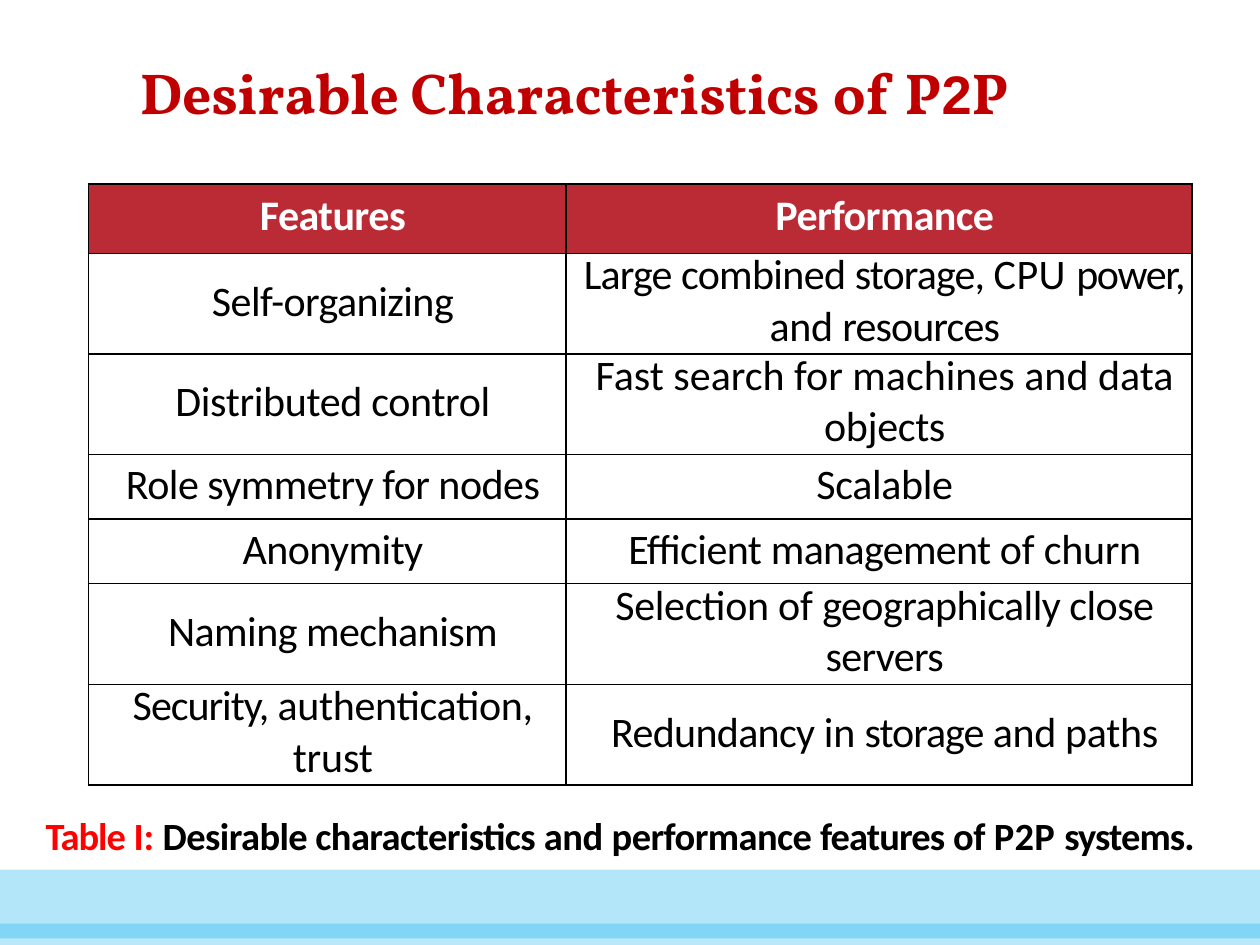
from dataclasses import dataclass

from lxml.etree import SubElement
from pptx import Presentation
from pptx.dml.color import RGBColor
from pptx.enum.shapes import MSO_SHAPE
from pptx.enum.text import MSO_ANCHOR, PP_ALIGN
from pptx.oxml.ns import qn
from pptx.util import Cm, Pt


@dataclass(frozen=True)
class Theme:
    heading_font: str = "Vollkorn"
    body_font: str = "Calibri"
    digit_font: str = "Arial"
    heading: str = "C00000"
    label: str = "FF0000"
    ink: str = "000000"
    header_text: str = "FFFFFF"
    header_fill: str = "BA2B35"
    band: str = "00AFEA"
    heading_size: float = 33
    digit_size: float = 31
    table_size: float = 24
    caption_size: float = 22


THEME = Theme()
COLUMN_WIDTHS = (9.63, 12.62)
HEADER, TALL, SHORT = 1.4, 2.03, 1.3
# Row height -> (top inset in cm, space before in pt) for one-line cells
ONE_LINE = {HEADER: (0.13, 3.9), TALL: (0.46, 12.9), SHORT: (0.1, 2.6)}

# Each cell is a list of lines, each line a list of (text, letter spacing)
ROWS = [
    (HEADER, [[("Features", -0.3)]], [[("Performance", -0.3)]]),
    (TALL, [[("Self-organizing", -0.3)]],
     [[("Large ", -0.5), ("combined ", -0.4), ("storage, ", -0.5),
       ("CPU ", 0.3), ("power,", -0.8)],
      [("and ", -0.2), ("resources", -0.5)]]),
    (TALL, [[("Distributed control", -0.2)]],
     [[("Fast search for machines and data", 0)], [("objects", -0.2)]]),
    (SHORT, [[("Role symmetry for nodes", -0.3)]], [[("Scalable", -0.2)]]),
    (SHORT, [[("Anonymity", -0.3)]],
     [[("Efficient ", -0.3), ("management ", -0.4), ("of ", -0.1),
       ("churn", -0.2)]]),
    (TALL, [[("Naming ", -0.3), ("mechanism", -0.3)]],
     [[("Selection ", -0.2), ("of ", -0.1), ("geographically close", -0.3)],
      [("servers", -0.4)]]),
    (TALL,
     [[("Security, ", -0.6), ("authentication,", -0.2)], [("trust", -0.1)]],
     [[("Redundancy ", -0.4), ("in ", -0.1), ("storage ", -0.6),
       ("and paths", -0.2)]]),
]


def add_spans(para, spans):
    added = []
    for text, spacing in spans:
        span = para.add_run()
        span.text = text
        span.font._element.set("spc", str(round(spacing * 100)))
        added.append(span)
    return added


def style_font(font, name, size, color, bold):
    font.name, font.size, font.bold = name, Pt(size), bold
    font.color.rgb = RGBColor.from_string(color)


def set_indent(para, indent):
    properties = para._p.get_or_add_pPr()
    properties.set("marL", str(Cm(indent)))
    properties.set("indent", "0")
    return properties


def add_band(page, top, height, opacity):
    band = page.shapes.add_shape(
        MSO_SHAPE.RECTANGLE, 0, Cm(top), Cm(25.4), Cm(height))
    band.shadow.inherit = False
    band.line.fill.background()
    band.fill.solid()
    band.fill.fore_color.rgb = RGBColor.from_string(THEME.band)
    color = band._element.spPr.find(qn("a:solidFill"))[0]
    SubElement(color, qn("a:alpha"), val=str(opacity * 1000))


def add_text_line(page, left, top, width, height, space_before):
    box = page.shapes.add_textbox(Cm(left), Cm(top), Cm(width), Cm(height))
    frame = box.text_frame
    frame.word_wrap = True
    frame.margin_left = frame.margin_right = frame.margin_bottom = 0
    frame.margin_top = Cm(0.03)
    para = frame.paragraphs[0]
    para.space_before = Pt(space_before)
    set_indent(para, 0.03)
    return para


def add_title(page):
    para = add_text_line(page, 2.79, 1.12, 17.86, 1.47, 1)
    style_font(para.font, THEME.heading_font, THEME.heading_size,
               THEME.heading, True)
    tabs = SubElement(para._p.get_or_add_pPr(), qn("a:tabLst"))
    para._p.pPr.insert(1, tabs)  # tab stops come before the default font
    SubElement(tabs, qn("a:tab"), pos=str(Cm(14.33)), algn="l")
    spans = add_spans(para, [("Desirable Characteristics\t", -0.1),
                             ("of ", 0), ("P", -0.1), ("2", -0.1),
                             ("P", -0.1)])
    for span in spans:
        style_font(span.font, THEME.heading_font, THEME.heading_size,
                   THEME.heading, True)
    spans[3].font.name = THEME.digit_font
    spans[3].font.size = Pt(THEME.digit_size)


def add_caption(page):
    para = add_text_line(page, 0.89, 16.33, 23.77, 0.99, 0.9)
    label = add_spans(para, [("Table ", -0.6), ("I: ", -0.1)])
    sentence = add_spans(para, [
        ("Desirable characteristics ", -0.3), ("and ", -0.2),
        ("performance ", -0.3), ("features ", -0.5), ("of ", -0.2),
        ("P2P ", 0.2), ("systems.", -0.5)])
    for spans, color in ((label, THEME.label), (sentence, THEME.ink)):
        for span in spans:
            style_font(span.font, THEME.body_font, THEME.caption_size,
                       color, True)


def add_borders(cell):
    properties = cell._tc.get_or_add_tcPr()
    for side in ("lnL", "lnR", "lnT", "lnB"):
        line = SubElement(properties, qn(f"a:{side}"), w=str(Pt(1)))
        fill = SubElement(line, qn("a:solidFill"))
        SubElement(fill, qn("a:srgbClr"), val=THEME.ink)


def fill_cell(cell, lines, height):
    is_header = height == HEADER
    top, space_before = ONE_LINE[height] if len(lines) == 1 else (0, 0)
    cell.margin_left = cell.margin_right = cell.margin_bottom = 0
    cell.margin_top = Cm(top)
    cell.vertical_anchor = MSO_ANCHOR.TOP
    add_borders(cell)
    if is_header:
        cell.fill.solid()
        cell.fill.fore_color.rgb = RGBColor.from_string(THEME.header_fill)
    else:
        cell.fill.background()

    frame = cell.text_frame
    for index, line in enumerate(lines):
        para = frame.add_paragraph() if index else frame.paragraphs[0]
        para.alignment = PP_ALIGN.CENTER
        para.space_before = Pt(space_before)
        set_indent(para, 0.23)
        if len(lines) > 1 and index == 0:
            para.line_spacing = Pt(27.3)
        for span in add_spans(para, line):
            style_font(span.font, THEME.body_font, THEME.table_size,
                       THEME.header_text if is_header else THEME.ink,
                       is_header)


def add_feature_table(page):
    total_height = sum(row[0] for row in ROWS)
    table = page.shapes.add_table(
        len(ROWS), len(COLUMN_WIDTHS), Cm(1.78), Cm(3.71),
        Cm(sum(COLUMN_WIDTHS)), Cm(total_height)).table
    table.horz_banding = False
    for column, width in zip(table.columns, COLUMN_WIDTHS):
        column.width = Cm(width)
    for row, (height, *cells) in zip(table.rows, ROWS):
        row.height = Cm(height)
        for cell, lines in zip(row.cells, cells):
            fill_cell(cell, lines, height)


def main():
    deck = Presentation()
    deck.slide_width, deck.slide_height = Cm(25.4), Cm(19.05)
    page = deck.slides.add_slide(deck.slide_layouts[6])

    # Footer bands
    add_band(page, 17.53, 1.39, 30)
    add_band(page, 18.62, 0.43, 28)

    # Content
    add_title(page)
    add_feature_table(page)
    add_caption(page)
    deck.save("out.pptx")


if __name__ == "__main__":
    main()
